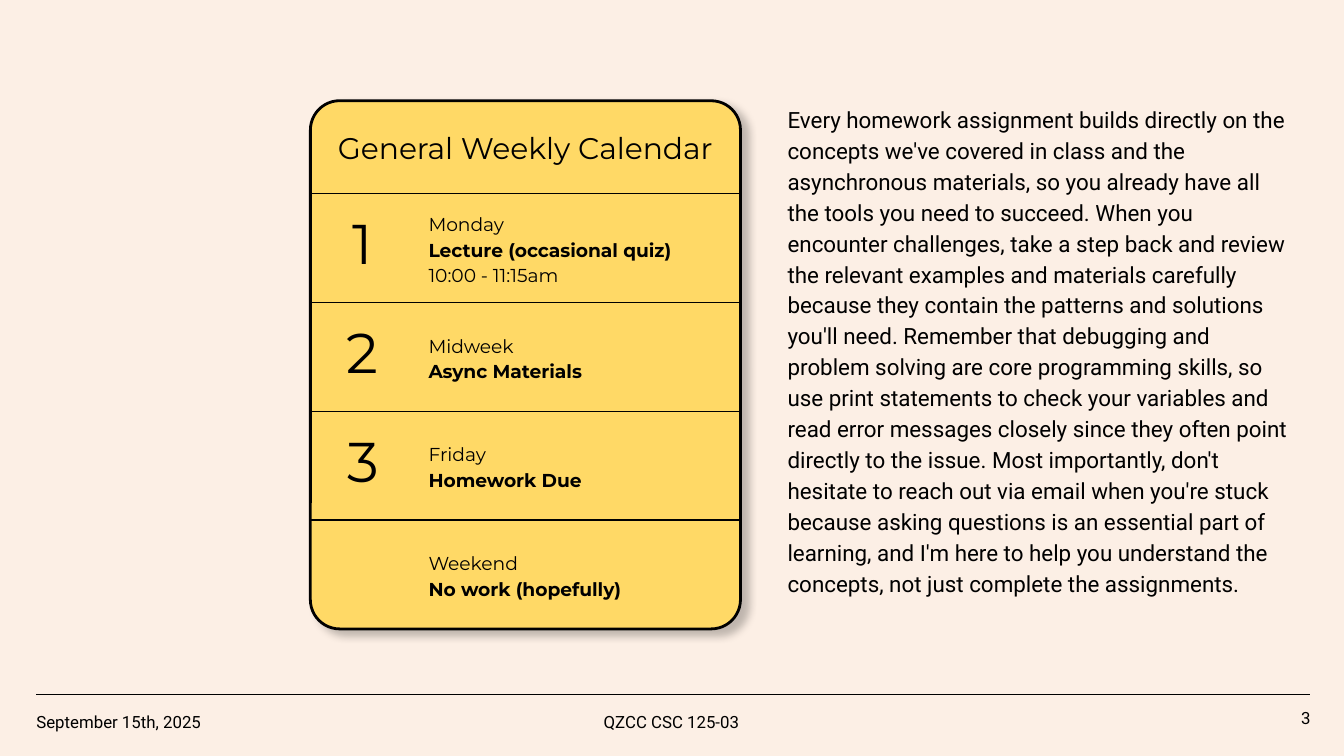
from dataclasses import dataclass

from lxml import etree
from pptx import Presentation
from pptx.dml.color import RGBColor
from pptx.enum.shapes import MSO_CONNECTOR, MSO_SHAPE
from pptx.enum.text import MSO_ANCHOR, MSO_AUTO_SIZE, PP_ALIGN
from pptx.oxml.ns import qn
from pptx.util import Inches, Pt

LEFT, CENTER, RIGHT = PP_ALIGN.LEFT, PP_ALIGN.CENTER, PP_ALIGN.RIGHT
TOP, MIDDLE = MSO_ANCHOR.TOP, MSO_ANCHOR.MIDDLE
STRAIGHT = MSO_CONNECTOR.STRAIGHT
ROUNDED = MSO_SHAPE.ROUNDED_RECTANGLE

COLORS = {"background": "FCEFE5", "card": "FFD966", "ink": "000000"}
HEADING_FONT, BODY_FONT = "Montserrat", "Roboto"
COMPARISON_LAYOUT = 4
SLIDE_WIDTH = Inches(10)
SLIDE_HEIGHT = SLIDE_WIDTH * 9 // 16


@dataclass(frozen=True)
class Box:
    left: float
    top: float
    width: float
    height: float

    def emu(self) -> tuple:
        return tuple(Inches(v) for v in (self.left, self.top, self.width, self.height))


@dataclass(frozen=True)
class Style:
    font: str
    size: float
    align: PP_ALIGN = LEFT
    anchor: MSO_ANCHOR = MIDDLE
    spacing: float = 1.0
    after: float = 0


@dataclass(frozen=True)
class Entry:
    number: str
    day: str
    task: str
    time: str = ""


ENTRIES = [
    Entry("1", "Monday", "Lecture (occasional quiz)", "10:00 - 11:15am"),
    Entry("2", "Midweek", "Async Materials"),
    Entry("3", "Friday", "Homework Due"),
    Entry("", "Weekend", "No work (hopefully)"),
]
ADVICE = (
    "Every homework assignment builds directly on the concepts we've covered in class "
    "and the asynchronous materials, so you already have all the tools you need to "
    "succeed. When you encounter challenges, take a step back and review the relevant "
    "examples and materials carefully because they contain the patterns and solutions "
    "you'll need. Remember that debugging and problem solving are core programming "
    "skills, so use print statements to check your variables and read error messages "
    "closely since they often point directly to the issue. Most importantly, don't "
    "hesitate to reach out via email when you're stuck because asking questions is an "
    "essential part of learning, and I'm here to help you understand the concepts, not "
    "just complete the assignments."
)

# Calendar grid: a header above equal rows, a number column beside the details
CARD_LEFT, CARD_TOP, CARD_WIDTH = 2.31, 0.75, 3.2
HEADER_HEIGHT, ROW_HEIGHT = 0.69, 0.81
NUMBER_WIDTH, NUMBER_HEIGHT = 0.78, 0.73
CARD = Box(CARD_LEFT, CARD_TOP, CARD_WIDTH, HEADER_HEIGHT + ROW_HEIGHT * len(ENTRIES))
FOOTER_TOP, FOOTER_HEIGHT = 5.17, 0.34

TITLE = Style(HEADING_FONT, 16, CENTER)
NUMBER = Style(HEADING_FONT, 30, CENTER)
DETAIL = Style(HEADING_FONT, 10, spacing=1.15)
PROSE = Style(BODY_FONT, 12, anchor=TOP, spacing=1.15, after=12)
FOOTER = Style(BODY_FONT, 9, anchor=TOP, spacing=1.15, after=12)
FOOTER_CENTER = Style(BODY_FONT, 9, CENTER, TOP, 1.15, 12)
PAGE_NUMBER = Style(BODY_FONT, 9, RIGHT)


def color(name: str) -> RGBColor:
    return RGBColor.from_string(COLORS[name])


def write(sp, lines: list[str], style: Style, bold_line: int = -1) -> None:
    tf = sp.text_frame
    tf.word_wrap = True
    tf.auto_size = MSO_AUTO_SIZE.NONE
    tf.vertical_anchor = style.anchor
    tf.margin_left = tf.margin_right = tf.margin_top = tf.margin_bottom = Inches(0.1)
    tf.text = "\n".join(lines)
    for i, p in enumerate(tf.paragraphs):
        p.alignment = style.align
        p.line_spacing = style.spacing
        p.space_before, p.space_after = Pt(0), Pt(style.after)
        p.font.name, p.font.size = style.font, Pt(style.size)
        p.font.bold = i == bold_line
        p.font.color.rgb = color("ink")


def add_text(slide, box: Box, lines: list[str], style: Style, bold_line: int = -1) -> None:
    write(slide.shapes.add_textbox(*box.emu()), lines, style, bold_line)


def fill_placeholder(sp, box: Box, text: str, style: Style) -> None:
    """Move a body placeholder and set its text without bullet or indent."""
    sp.left, sp.top, sp.width, sp.height = box.emu()
    write(sp, [text], style)
    for p in sp.text_frame.paragraphs:
        pPr = p._p.get_or_add_pPr()
        pPr.set("marL", "0")
        pPr.set("indent", "0")
        # Bullets come before the default run properties
        pPr.find(qn("a:defRPr")).addprevious(etree.Element(qn("a:buNone")))


def add_rule(slide, left: float, right: float, y: float) -> None:
    line = slide.shapes.add_connector(
        STRAIGHT, Inches(left), Inches(y), Inches(right), Inches(y))
    line.line.color.rgb = color("ink")
    line.line.width = Pt(0.75)
    etree.SubElement(line._element.spPr, qn("a:effectLst"))


def add_card(slide) -> None:
    sp = slide.shapes.add_shape(ROUNDED, *CARD.emu())
    sp.adjustments[0] = 0.068
    sp.fill.solid()
    sp.fill.fore_color.rgb = color("card")
    sp.line.color.rgb = color("ink")
    sp.line.width = Pt(1.5)
    sp.shadow.inherit = False
    effects = sp._element.spPr.find(qn("a:effectLst"))
    shadow = etree.SubElement(
        effects, qn("a:outerShdw"), blurRad=str(Pt(4.5)), dist=str(Pt(4.5)),
        dir=str(38 * 60000), algn="bl", rotWithShape="0")
    tint = etree.SubElement(shadow, qn("a:srgbClr"), val=COLORS["ink"])
    etree.SubElement(tint, qn("a:alpha"), val="24000")


def add_entry(slide, row: int, entry: Entry) -> None:
    top = CARD_TOP + HEADER_HEIGHT + row * ROW_HEIGHT
    add_rule(slide, CARD_LEFT, CARD_LEFT + CARD_WIDTH, top)
    if entry.number:
        add_text(slide, Box(CARD_LEFT, top, NUMBER_WIDTH, NUMBER_HEIGHT),
                 [entry.number], NUMBER)
    details = Box(CARD_LEFT + NUMBER_WIDTH, top, CARD_WIDTH - NUMBER_WIDTH, ROW_HEIGHT)
    lines = [t for t in (entry.day, entry.task, entry.time) if t]
    add_text(slide, details, lines, DETAIL, bold_line=1)


def main() -> None:
    prs = Presentation()
    prs.slide_width, prs.slide_height = SLIDE_WIDTH, SLIDE_HEIGHT
    slide = prs.slides.add_slide(prs.slide_layouts[COMPARISON_LAYOUT])
    slide.background.fill.solid()
    slide.background.fill.fore_color.rgb = color("background")

    title, course, advice, date, spare = slide.placeholders
    for sp in (title, spare):
        sp._element.getparent().remove(sp._element)
    fill_placeholder(advice, Box(5.76, 0.66, 3.94, 4.3), ADVICE, PROSE)
    fill_placeholder(course, Box(4.18, FOOTER_TOP, 1.63, FOOTER_HEIGHT),
                     "QZCC CSC 125-03", FOOTER_CENTER)
    fill_placeholder(date, Box(0.17, FOOTER_TOP, 1.93, FOOTER_HEIGHT),
                     "September 15th, 2025", FOOTER)
    add_rule(slide, 0.27, 9.75, FOOTER_TOP)
    add_text(slide, Box(9.25, FOOTER_TOP, 0.6, FOOTER_HEIGHT), ["3"], PAGE_NUMBER)

    add_card(slide)
    add_text(slide, Box(CARD_LEFT, 0.93, CARD_WIDTH, 0.34),
             ["General Weekly Calendar"], TITLE)
    for row, entry in enumerate(ENTRIES):
        add_entry(slide, row, entry)
    prs.save("out.pptx")


if __name__ == "__main__":
    main()
